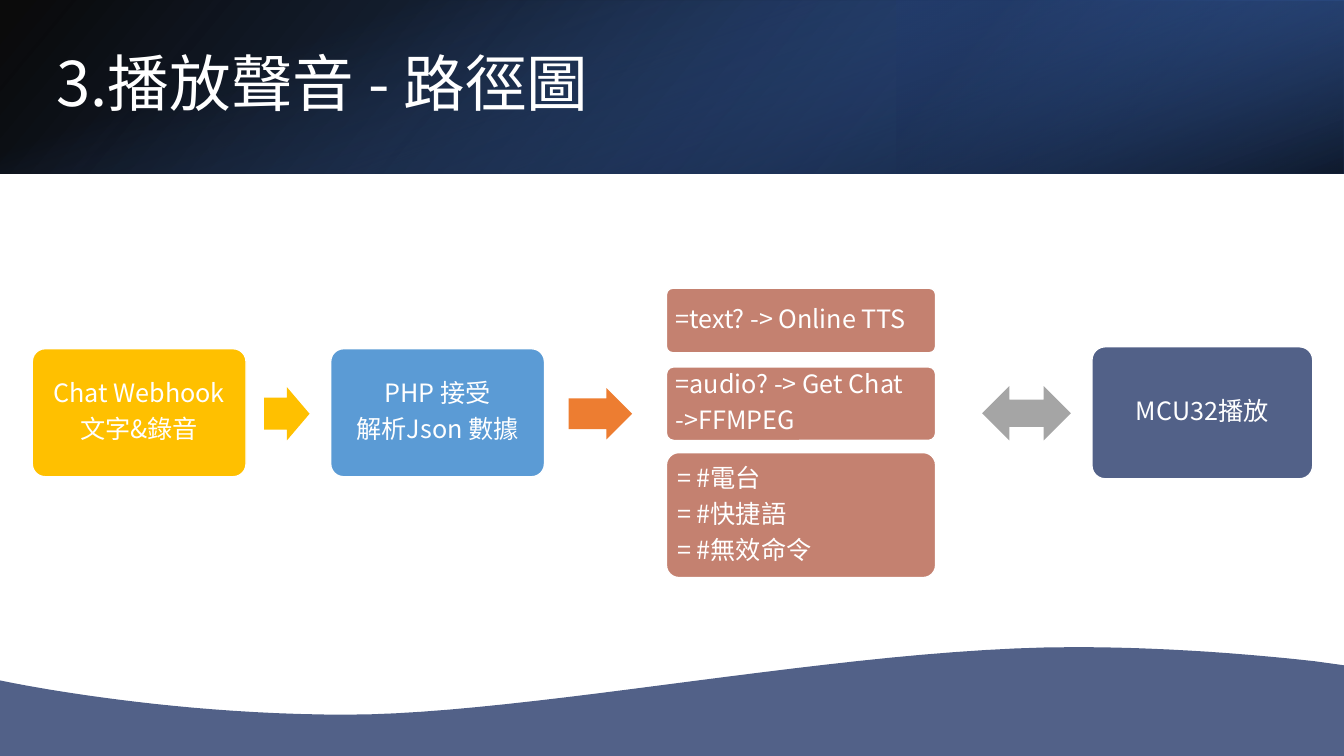
from lxml.etree import SubElement
from pptx import Presentation
from pptx.dml.color import RGBColor
from pptx.enum.shapes import MSO_SHAPE as Shape
from pptx.enum.text import MSO_ANCHOR as Anchor, PP_ALIGN as Align
from pptx.oxml import parse_xml
from pptx.oxml.ns import nsdecls, qn
from pptx.util import Inches, Pt

FONT = "Noto Sans CJK SC"
COLORS = {
    "white": "FFFFFF", "black": "000000", "navy": "203864",
    "deep": "2F5597", "royal": "4472C4", "slate": "526188",
    "yellow": "FFC000", "sky": "5B9BD5", "orange": "ED7D31",
    "gray": "A5A5A5", "clay": "C48170",
}


def rgb(name):
    return RGBColor.from_string(COLORS[name])


def curve_points(start, first, second, end, steps=24):
    """Points along a cubic curve, without its start."""
    for step in range(1, steps + 1):
        t = step / steps
        weights = ((1 - t) ** 3, 3 * t * (1 - t) ** 2, 3 * t * t * (1 - t), t ** 3)
        yield tuple(sum(weight * point[axis] for weight, point
                        in zip(weights, (start, first, second, end)))
                    for axis in (0, 1))


class FlowSlide:
    def __init__(self, presentation):
        self.slide = presentation.slides.add_slide(presentation.slide_layouts[5])
        self.shapes = self.slide.shapes

    def format_text(self, paragraph, size, align):
        paragraph.alignment = align
        paragraph.line_spacing = 0.9
        for run in paragraph.runs:
            run.font.size = Pt(size)
            run.font.name = FONT
            run.font.color.rgb = rgb("white")
            east_asian = SubElement(run.font._element, qn("a:ea"))
            east_asian.set("typeface", FONT)
            run.font._element.find(qn("a:latin")).addnext(east_asian)

    def title(self, text, left, top, width, height):
        title = self.shapes.title
        title.left, title.top = Inches(left), Inches(top)
        title.width, title.height = Inches(width), Inches(height)
        title.text_frame.text = text
        title.text_frame.vertical_anchor = Anchor.MIDDLE
        self.format_text(title.text_frame.paragraphs[0], 44, Align.LEFT)
        # Bring the title in front of the header bands
        title.element.getparent().append(title.element)

    def shape(self, kind, left, top, width, height, color):
        shape = self.shapes.add_shape(kind, Inches(left), Inches(top),
                                      Inches(width), Inches(height))
        shape.shadow.inherit = False
        shape.fill.solid()
        shape.fill.fore_color.rgb = rgb(color)
        shape.line.fill.background()
        return shape

    def band(self, left, top, width, height, stops, angle, rotation=0, flip=False):
        band = self.shape(Shape.RECTANGLE, left, top, width, height, "navy")
        band.rotation = rotation
        properties = band.element.spPr
        if flip:
            properties.xfrm.set("flipH", "1")
        stop_xml = "".join(
            f'<a:gs pos="{position * 1000}"><a:srgbClr val="{COLORS[color]}">'
            f'<a:alpha val="{opacity * 1000}"/></a:srgbClr></a:gs>'
            for position, color, opacity in stops)
        gradient = parse_xml(
            f'<a:gradFill rotWithShape="1" {nsdecls("a")}><a:gsLst>{stop_xml}</a:gsLst>'
            f'<a:lin ang="{angle * 60000}" scaled="0"/></a:gradFill>')
        properties.replace(properties.find(qn("a:solidFill")), gradient)

    def wave(self, start, curves, corners, color):
        points = []
        current = start
        for first, second, end in curves:
            points.extend(curve_points(current, first, second, end))
            current = end
        builder = self.shapes.build_freeform(
            Inches(start[0]), Inches(start[1]))
        builder.add_line_segments(
            [(Inches(x), Inches(y)) for x, y in points + corners], close=True)
        wave = builder.convert_to_shape()
        wave.shadow.inherit = False
        wave.fill.solid()
        wave.fill.fore_color.rgb = rgb(color)
        wave.line.fill.background()

    def card(self, left, top, width, height, color, lines, align=Align.CENTER):
        card = self.shape(Shape.ROUNDED_RECTANGLE, left, top, width, height, color)
        card.adjustments[0] = 0.1
        card.line.color.rgb = rgb("white")
        card.line.width = Pt(1)
        frame = card.text_frame
        frame.word_wrap = True
        frame.vertical_anchor = Anchor.MIDDLE
        frame.margin_left = frame.margin_right = Inches(0.07)
        frame.margin_top = frame.margin_bottom = Inches(0.07)
        frame.text = "\n".join(lines)
        for paragraph in frame.paragraphs:
            self.format_text(paragraph, 18, align)
            # Spacing after, as a share of the line
            paragraph.space_after = Pt(0)
            spacing = paragraph._p.pPr.find(qn("a:spcAft"))
            spacing.remove(spacing[0])
            SubElement(spacing, qn("a:spcPct")).set("val", "35000")

    def arrow(self, kind, left, top, width, height, color, shaft=0.5):
        arrow = self.shape(kind, left, top, width, height, color)
        arrow.adjustments[0] = shaft
        arrow.adjustments[1] = 0.5


def main():
    presentation = Presentation()
    presentation.slide_width = Inches(13.33)
    presentation.slide_height = Inches(7.5)
    flow = FlowSlide(presentation)

    # Header bands and title
    flow.band(0, 0, 13.33, 1.72, [(0, "black", 96), (100, "deep", 100)], 140, flip=True)
    flow.band(8.89, 0, 4.44, 1.72, [(19, "navy", 68), (100, "royal", 79)], 320,
              rotation=180, flip=True)
    flow.band(5.8, -5.8, 1.72, 13.33, [(23, "royal", 0), (99, "black", 74)], 340,
              rotation=90)
    flow.title("3.播放聲音 - 路徑圖", 0.46, 0.38, 10.98, 0.96)

    # Footer wave
    flow.wave((0, 6.75),
              [((0, 6.75), (1.57, 7.09), (3.43, 7.09)),
               ((5.28, 7.09), (8.4, 6.42), (10.65, 6.42)),
               ((11.49, 6.42), (12.32, 6.48), (13.04, 6.56))],
              [(13.33, 6.6), (13.33, 7.5), (0, 7.5)], "slate")

    # Input and parsing steps
    for left, color, lines in (
            (0.32, "yellow", ["Chat Webhook", "文字&錄音"]),
            (3.28, "sky", ["PHP 接受", "解析Json 數據"])):
        flow.card(left, 3.46, 2.12, 1.27, color, lines)

    # Command branches
    for top, height, lines in (
            (2.86, 0.64, ["=text? -> Online TTS"]),
            (3.64, 0.73, ["=audio? -> Get Chat", "->FFMPEG"]),
            (4.49, 1.24, ["= #電台", "= #快捷語", "= #無效命令"])):
        flow.card(6.61, top, 2.67, height, "clay", lines, Align.LEFT)

    # Playback step
    flow.card(10.83, 3.44, 2.19, 1.31, "slate", ["MCU32播放"])

    # Arrows between the steps
    flow.arrow(Shape.RIGHT_ARROW, 2.62, 3.84, 0.45, 0.53, "yellow", 0.6)
    flow.arrow(Shape.RIGHT_ARROW, 5.64, 3.85, 0.63, 0.51, "orange", 0.6)
    flow.arrow(Shape.LEFT_RIGHT_ARROW, 9.74, 3.83, 0.88, 0.54, "gray")

    presentation.save("out.pptx")


if __name__ == "__main__":
    main()
